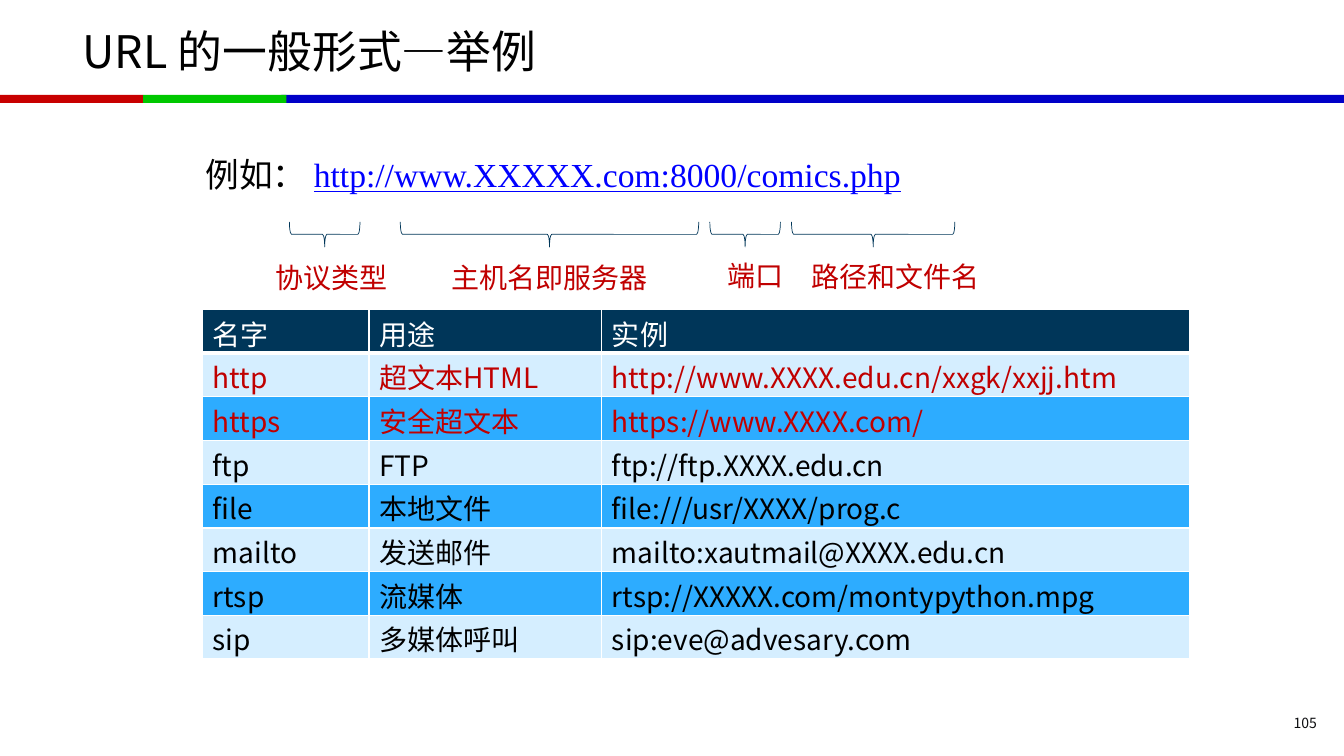
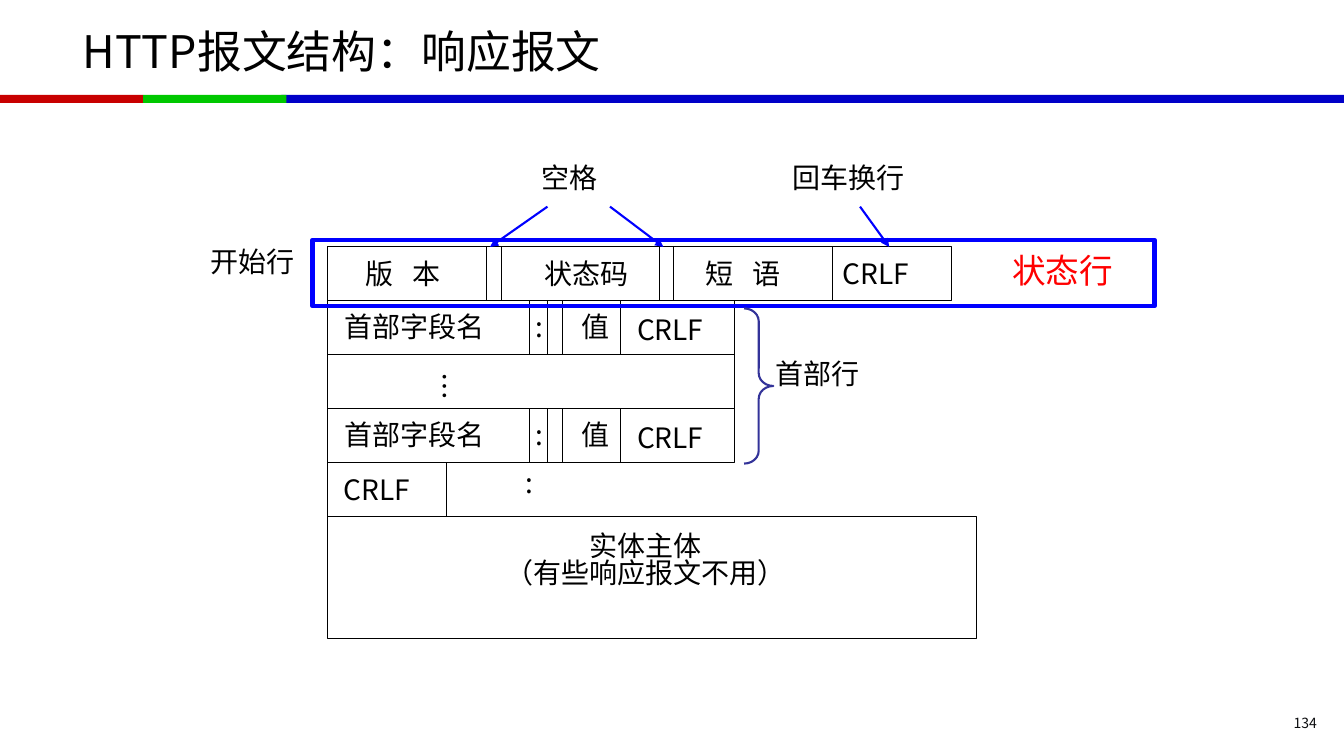
from pptx import Presentation
from pptx.dml.color import RGBColor
from pptx.enum.shapes import MSO_CONNECTOR as CONN, MSO_SHAPE as SHAPE
from pptx.enum.text import MSO_ANCHOR as ANCHOR, PP_ALIGN as ALIGN
from pptx.oxml.ns import qn
from pptx.util import Inches, Pt
from lxml.etree import SubElement

SANS, SERIF = "Noto Sans CJK SC", "Times New Roman"
C = {
    "black": "000000", "white": "FFFFFF", "page": "0C0D0F",
    "band_red": "C80000", "band_green": "00C800", "band_blue": "0000C8",
    "navy": "003659", "pale": "D5EEFF", "sky": "2DACFF",
    "accent": "C00000", "red": "FF0000", "blue": "0000FF", "brace": "333399",
}


def rgb(name):
    return RGBColor.from_string(C[name])


# ---- shared helpers ----
def add_run(p, text, size=20, color="black", font=SANS, underline=None, spc=None):
    r = p.add_run()
    r.text = text
    fmt = {"size": Pt(size), "name": font, "underline": underline}
    for key, value in fmt.items():
        setattr(r.font, key, value)
    r.font.color.rgb = rgb(color)
    rPr = r.font._element
    SubElement(rPr, qn("a:ea")).set("typeface", SANS)
    if spc:
        rPr.set("spc", str(spc))
    return r


def add_text(s, x, y, w, h, lines, align=ALIGN.LEFT, anchor=ANCHOR.TOP,
             spacing=0.88, **style):
    tb = s.shapes.add_textbox(Inches(x), Inches(y), Inches(w), Inches(h))
    tf = tb.text_frame
    tf.word_wrap = True
    tf.vertical_anchor = anchor
    for i, line in enumerate(lines.split("\n")):
        p = tf.add_paragraph() if i else tf.paragraphs[0]
        p.alignment, p.line_spacing = align, spacing
        if line:
            add_run(p, line, **style)
    return tb


def add_box(s, x, y, w, h, fill=None, line=None, weight=0.75, kind=SHAPE.RECTANGLE):
    sp = s.shapes.add_shape(kind, Inches(x), Inches(y), Inches(w), Inches(h))
    sp.shadow.inherit = False
    if fill:
        sp.fill.solid()
        sp.fill.fore_color.rgb = rgb(fill)
    else:
        sp.fill.background()
    if line:
        sp.line.color.rgb = rgb(line)
        sp.line.width = Pt(weight)
    else:
        sp.line.fill.background()
    return sp


def add_line(s, x1, y1, x2, y2, color="black", weight=0.75, arrow=False):
    ln = s.shapes.add_connector(CONN.STRAIGHT, *map(Inches, (x1, y1, x2, y2)))
    ln.line.color.rgb = rgb(color)
    ln.line.width = Pt(weight)
    if arrow:
        SubElement(ln.line._get_or_add_ln(), qn("a:tailEnd")).set("type", "triangle")
    SubElement(ln._element.spPr, qn("a:effectLst"))
    return ln


def new_slide(prs, title, number):
    """Blank slide with the tricolour band, title and page number."""
    s = prs.slides.add_slide(prs.slide_layouts[6])
    for x, w, color in ((2.79, 10.54, "band_blue"), (0, 1.42, "band_red"),
                        (1.42, 1.42, "band_green")):
        add_box(s, x, 0.94, w, 0.08, fill=color)
    add_text(s, 0.72, 0.08, 11.88, 0.84, title, anchor=ANCHOR.MIDDLE,
             spacing=1, size=32)
    add_text(s, 11.86, 7.06, 1.3, 0.23, number, align=ALIGN.RIGHT,
             anchor=ANCHOR.MIDDLE, spacing=1, size=10, color="page")
    return s


# ---- URL slide ----
def url_anatomy(s, x, y):
    """Sample URL with a brace and a caption under each part."""
    tb = add_text(s, x, y, 9, 0.6, "", spacing=1)
    p = tb.text_frame.paragraphs[0]
    add_run(p, "例如： ", size=24, font=SERIF)
    add_run(p, "http://www.XXXXX.com:8000/comics.php", size=24, font=SERIF,
            color="blue", underline=True)

    brace_h = 0.25
    # brace left, brace width, caption left, caption top, caption width, caption
    parts = (
        (0.93, 0.7, 0.69, 1.1, 1.41, "协议类型"),
        (2.03, 2.96, 2.19, 1.1, 2.64, "主机名即服务器"),
        (5.1, 0.7, 4.85, 1.08, 1.41, "端口"),
        (5.91, 1.62, 5.71, 1.09, 2.46, "路径和文件名"),
    )
    for left, w, cap_x, cap_y, cap_w, caption in parts:
        # an upright brace turned about its centre to point down
        sp = add_box(s, x + left + (w - brace_h) / 2, y + 0.72 + (brace_h - w) / 2,
                     brace_h, w, line="navy", weight=0.5, kind=SHAPE.RIGHT_BRACE)
        sp.rotation = 90
        align = ALIGN.LEFT if caption == "协议类型" else ALIGN.CENTER
        add_text(s, x + cap_x, y + cap_y, cap_w, 0.44, caption,
                 align=align, color="accent")


def set_borders(cell, top=1, bottom=1):
    tcPr = cell._tc.get_or_add_tcPr()
    for side, width in (("L", 1), ("R", 1), ("T", top), ("B", bottom)):
        ln = SubElement(tcPr, qn(f"a:ln{side}"), w=str(Pt(width)))
        fill = SubElement(ln, qn("a:solidFill"))
        SubElement(fill, qn("a:srgbClr")).set("val", C["white"])


def scheme_table(s, x, y, w, h):
    rows = (
        ("名字", "用途", "实例"),
        ("http", "超文本HTML", "http://www.XXXX.edu.cn/xxgk/xxjj.htm"),
        ("https", "安全超文本", "https://www.XXXX.com/"),
        ("ftp", "FTP", "ftp://ftp.XXXX.edu.cn"),
        ("file", "本地文件", "file:///usr/XXXX/prog.c"),
        ("mailto", "发送邮件", "mailto:xautmail@XXXX.edu.cn"),
        ("rtsp", "流媒体", "rtsp://XXXXX.com/montypython.mpg"),
        ("sip", "多媒体呼叫", "sip:eve@advesary.com"),
    )
    table = s.shapes.add_table(len(rows), 3, *map(Inches, (x, y, w, h))).table
    table.first_row = table.horz_banding = False
    for col, width in zip(table.columns, (1.65, 2.31, w - 3.96)):
        col.width = Inches(width)
    for i, row in enumerate(rows):
        table.rows[i].height = Inches(h / len(rows))
        fill = "navy" if i == 0 else "pale" if i % 2 else "sky"
        color = "white" if i == 0 else "accent" if i < 3 else "black"
        for j, text in enumerate(row):
            cell = table.cell(i, j)
            cell.margin_top, cell.margin_bottom = Inches(0.03), 0
            set_borders(cell, top=3 if i == 1 else 1, bottom=3 if i == 0 else 1)
            cell.fill.solid()
            cell.fill.fore_color.rgb = rgb(fill)
            add_run(cell.text_frame.paragraphs[0], text, color=color)


# ---- response message slide ----
def field_row(s, x, y, w, h, dividers=()):
    """Outlined row cut into fields at the given offsets."""
    add_box(s, x, y, w, h, line="black")
    for d in dividers:
        add_line(s, x + d, y, x + d, y + h)


def message_grid(s, x, y, w, h):
    row, head_w = 0.535, 4.04
    header_cuts = (2, 2.18, 2.33, 2.9)
    rows = ((6.19, (1.58, 1.72, 3.29, 3.43, 5.01)), (head_w, header_cuts),
            (head_w, ()), (head_w, header_cuts), (1.18, ()))
    for i, (row_w, cuts) in enumerate(rows):
        field_row(s, x, y + i * row, row_w, row, cuts)
    body_y = y + len(rows) * row
    add_box(s, x, body_y, w, y + h - body_y, line="black")

    # start line fields
    for left, width, text, spc in ((0.28, 1.05, "版 本", 450), (2.05, 1.08, "状态码", None),
                                   (3.65, 1.05, "短 语", 450), (5.01, 0.94, "CRLF", None)):
        add_text(s, x + left, y + 0.09, width, 0.44, text, spc=spc)

    # header fields
    for i in (1, 3):
        for left, width, text in ((0.07, 1.64, "首部字段名"), (1.96, 0.33, ":"),
                                  (2.42, 0.53, "值"), (2.97, 1.09, "CRLF")):
            dy = 0.11 if text == "CRLF" else 0.08
            add_text(s, x + left, y + i * row + dy, width, 0.44, text)
    add_text(s, x + 0.92, y + 1.12, 0.57, 0.44, "…").rotation = 270

    # blank line and entity body
    add_text(s, x + 0.06, y + 2.23, 0.94, 0.44, "CRLF")
    add_text(s, x + 1.86, y + 2.16, 0.33, 0.44, ":")
    add_text(s, x + 1.64, y + 2.8, 3.02, 0.77, "实体主体\n（有些响应报文不用）",
             align=ALIGN.CENTER, spacing=0.82)


def message_notes(s, x, y):
    """Frame, brace, arrows and captions around the grid."""
    add_box(s, x - 0.15, y - 0.07, 8.35, 0.66, line="blue", weight=3)
    brace = add_box(s, x + 4.13, y + 0.61, 0.29, 1.54, line="brace", weight=1.5,
                    kind=SHAPE.RIGHT_BRACE)
    brace.adjustments[0] = 0.44
    for start, end in ((2.8, 3.33), (2.18, 1.61), (5.28, 5.57)):
        add_line(s, x + start, y - 0.4, x + end, y, "blue", 1.5, arrow=True)
    for dx, dy, w, text in ((2.02, -0.86, 0.8, "空格"), (4.51, -0.86, 1.36, "回车换行"),
                            (-1.26, -0.03, 1.08, "开始行"), (4.34, 1.08, 1.08, "首部行")):
        add_text(s, x + dx, y + dy, w, 0.44, text)
    add_text(s, x + 6.69, y + 0.03, 1.42, 0.51, "状态行", size=24, color="red")


def main():
    prs = Presentation()
    prs.slide_width, prs.slide_height = Inches(13.33), Inches(7.5)

    s = new_slide(prs, "URL 的一般形式—举例", "105")
    url_anatomy(s, 1.94, 1.48)
    scheme_table(s, 2.01, 3.07, 9.79, 3.47)

    s = new_slide(prs, "HTTP报文结构：响应报文", "134")
    message_grid(s, 3.25, 2.45, 6.44, 3.88)
    message_notes(s, 3.25, 2.45)

    prs.save("out.pptx")


if __name__ == "__main__":
    main()
